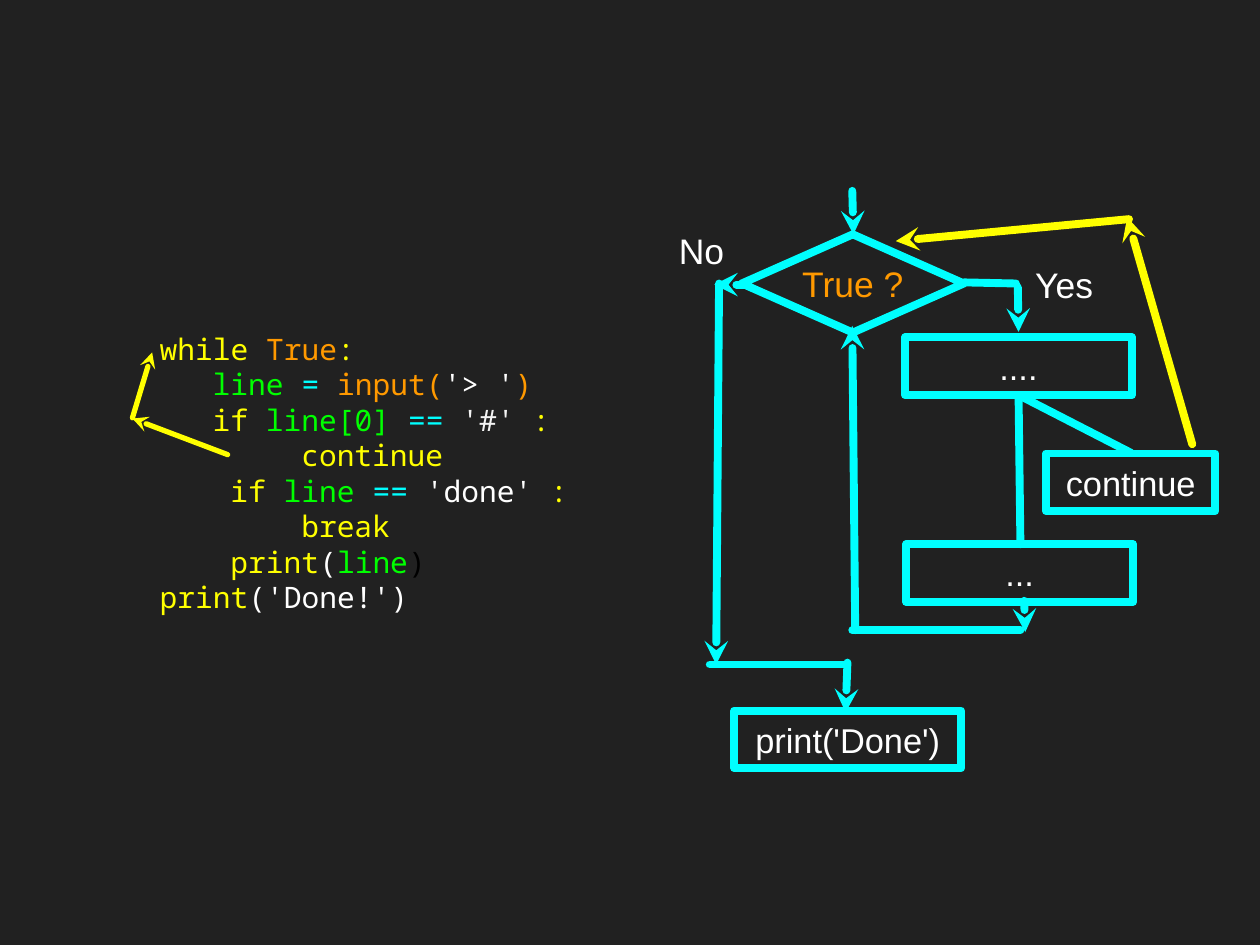
from lxml.etree import SubElement
from pptx import Presentation
from pptx.dml.color import RGBColor
from pptx.enum.shapes import MSO_CONNECTOR, MSO_SHAPE as SHAPE
from pptx.enum.text import MSO_ANCHOR, PP_ALIGN
from pptx.oxml.ns import qn
from pptx.util import Cm, Pt

THEME = {
    "background": "212121", "cyan": "00FFFF", "yellow": "FFFF00", "green": "00FF00",
    "orange": "FF9900", "white": "FFFFFF", "pale": "F3F3F3", "black": "000000",
    "font": "Arial", "code font": "Noto Sans Mono",
    "label size": 27, "box size": 26.2, "code size": 22.5,
    "flow width": 6, "code arrow width": 4,
}


def color(name):
    """Return a theme colour by its name."""
    return RGBColor.from_string(THEME[name])


def write_text(shape, lines, font_name, size, alignment):
    """Fill a shape with lines, each an indent and (text, colour) runs."""
    frame = shape.text_frame
    frame.word_wrap = True
    frame.vertical_anchor = MSO_ANCHOR.MIDDLE
    frame.margin_left = frame.margin_right = frame.margin_top = frame.margin_bottom = 0
    for index, (indent, runs) in enumerate(lines):
        paragraph = frame.paragraphs[0] if index == 0 else frame.add_paragraph()
        paragraph.alignment = alignment
        if indent:
            paragraph._p.get_or_add_pPr().set("marL", str(indent))
        for text, color_name in runs:
            run = paragraph.add_run()
            run.text = text
            run.font.name = font_name
            run.font.size = Pt(THEME[size])
            run.font.color.rgb = color(color_name)


presentation = Presentation()
presentation.slide_width, presentation.slide_height = Cm(33.87), Cm(25.4)
slide = presentation.slides.add_slide(presentation.slide_layouts[6])
slide.background.fill.solid()
slide.background.fill.fore_color.rgb = color("background")

# Flowchart nodes: shape, left, top, width, height, text, colour, size
BOX_HEIGHT = 1.55
nodes = [
    (SHAPE.DIAMOND, 19.94, 6.3, 5.97, 2.64, "True ?", "orange", "label size"),
    (SHAPE.RECTANGLE, 19.74, 19.1, 6.1, BOX_HEIGHT, "print('Done')", "white", "box size"),
    (SHAPE.RECTANGLE, 24.36, 14.63, 6.1, BOX_HEIGHT, "...", "white", "box size"),
    (SHAPE.RECTANGLE, 24.33, 9.07, 6.1, BOX_HEIGHT, "....", "white", "box size"),
    (SHAPE.RECTANGLE, 28.12, 12.19, 4.55, BOX_HEIGHT, "continue", "white", "box size"),
]
for kind, left, top, width, height, text, color_name, size in nodes:
    node = slide.shapes.add_shape(kind, Cm(left), Cm(top), Cm(width), Cm(height))
    node.shadow.inherit = False
    node.fill.background()
    node.line.color.rgb = color("cyan")
    node.line.width = Pt(THEME["flow width"])
    SubElement(node.line._get_or_add_ln(), qn("a:round"))
    write_text(node, [(0, [(text, color_name)])], THEME["font"], size, PP_ALIGN.CENTER)

# Branch labels
for text, left, top, width in [("No", 18.11, 6.07, 1.5), ("Yes", 27.69, 6.99, 1.83)]:
    label = slide.shapes.add_textbox(Cm(left), Cm(top), Cm(width), Cm(1.3))
    write_text(label, [(0, [(text, "white")])], THEME["font"], "label size", PP_ALIGN.CENTER)

# Code listing: indent in characters, then coloured runs
code_lines = [
    (0, [("while ", "yellow"), ("True", "orange"), (":", "yellow")]),
    (3, [("line ", "green"), ("= ", "cyan"), ("input(", "orange"), ("'> '", "white"),
         (")", "orange")]),
    (3, [("if", "yellow"), (" line[0] ", "green"), ("== ", "cyan"), ("'#' ", "pale"),
         (":", "yellow")]),
    (8, [("continue", "yellow")]),
    (4, [("if ", "yellow"), ("line ", "green"), ("== ", "cyan"), ("'done' ", "white"),
         (":", "yellow")]),
    (8, [("break", "yellow")]),
    (4, [("print", "yellow"), ("(", "white"), ("line", "green"), (")", "black")]),
    (0, [("print", "yellow"), ("('Done!')", "white")]),
]
character_width = Pt(THEME["code size"] * 0.6)
code = slide.shapes.add_textbox(Cm(4.29), Cm(8.08), Cm(13.11), Cm(9.25))
write_text(code, [(count * character_width, runs) for count, runs in code_lines],
           THEME["code font"], "code size", PP_ALIGN.LEFT)

# Lines by style: colour, width, arrow at the end, (x1, y1, x2, y2) list
line_groups = [
    ("cyan", "flow width", False, [
        (25.91, 7.59, 27.31, 7.62),
        (22.91, 16.94, 27.43, 16.94),
        (19.08, 17.86, 22.73, 17.86),
        (27.38, 10.62, 30.4, 12.17),
        (27.38, 10.62, 27.43, 14.63),
    ]),
    ("cyan", "flow width", True, [
        (22.91, 5.13, 22.94, 6.3),
        (22.99, 16.94, 22.91, 8.76),
        (20.04, 7.65, 19.2, 7.65),
        (22.78, 17.81, 22.73, 19.15),
        (19.33, 7.62, 19.25, 17.86),
        (27.53, 16.15, 27.56, 16.99),
        (27.36, 7.72, 27.38, 8.92),
    ]),
    ("yellow", "flow width", True, [
        (32.05, 11.94, 30.3, 5.84),
        (30.35, 5.89, 24.08, 6.48),
    ]),
    ("yellow", "code arrow width", True, [
        (6.12, 12.22, 3.56, 11.25),
        (3.56, 11.23, 4.09, 9.47),
    ]),
]
for color_name, width, has_arrow, segments in line_groups:
    for segment in segments:
        connector = slide.shapes.add_connector(
            MSO_CONNECTOR.STRAIGHT, *[Cm(value) for value in segment])
        connector.line.color.rgb = color(color_name)
        connector.line.width = Pt(THEME[width])
        outline = connector.line._get_or_add_ln()
        outline.set("cap", "rnd")
        SubElement(outline, qn("a:round"))
        if has_arrow:
            SubElement(outline, qn("a:tailEnd"), type="stealth")
        SubElement(connector._element.spPr, qn("a:effectLst"))

presentation.save("out.pptx")
